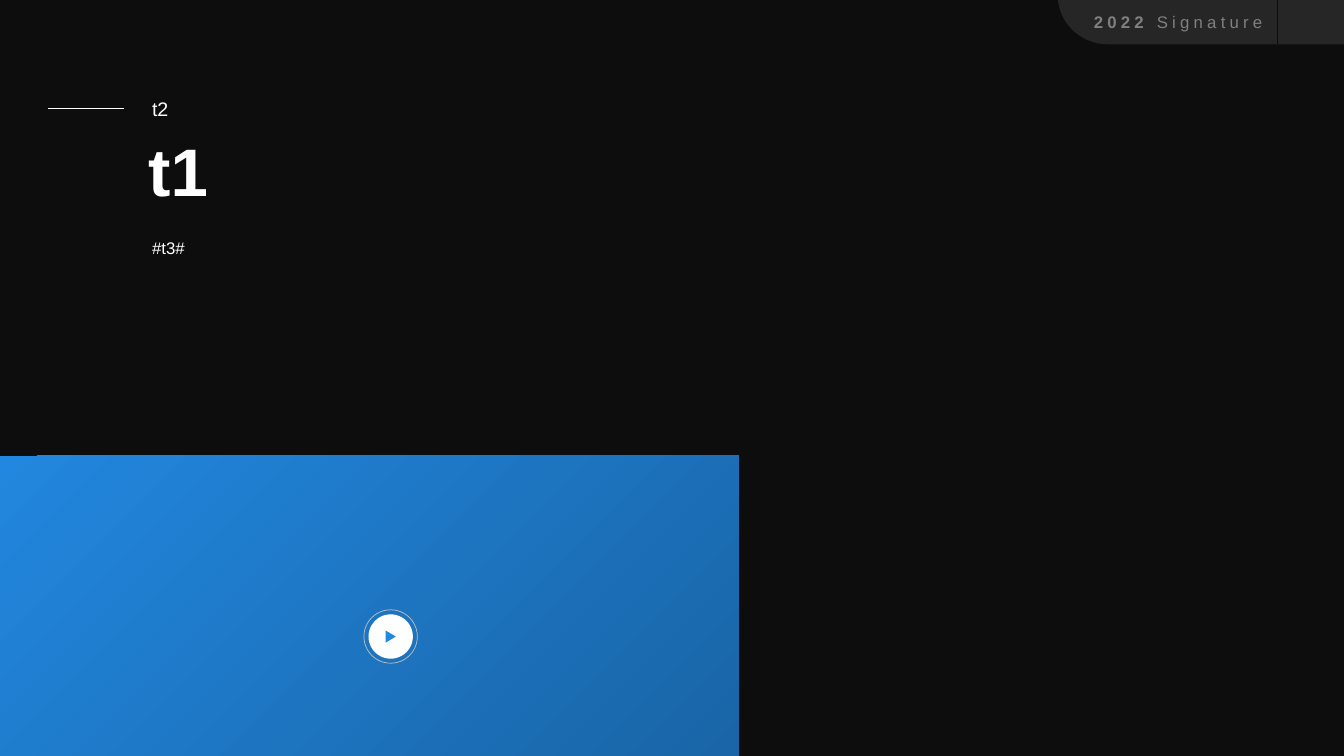
from lxml import etree
from pptx import Presentation
from pptx.dml.color import RGBColor
from pptx.enum import shapes, text
from pptx.oxml.ns import qn
from pptx.util import Inches, Pt

COLORS = {
    "background": "0D0D0D",
    "tab": "262626",
    "tab_text": "808080",
    "white": "FFFFFF",
    "ring": "BFBFBF",
    "blue": "2287DE",
    "deep_blue": "1965A7",
}


def color(name):
    return RGBColor.from_string(COLORS[name])


def add_line(slide, start, end):
    rule = slide.shapes.add_connector(
        shapes.MSO_CONNECTOR.STRAIGHT, *map(Inches, (*start, *end)))
    rule.line.width = Pt(0.75)
    etree.SubElement(rule._element.spPr, qn("a:effectLst"))
    return rule


def add_preset(slide, preset, left, top, width, height, fill=None):
    """Add a shape without shadow or outline."""
    part = slide.shapes.add_shape(
        preset, *map(Inches, (left, top, width, height)))
    part.shadow.inherit = False
    part.line.fill.background()
    if fill:
        part.fill.solid()
        part.fill.fore_color.rgb = color(fill)
    else:
        part.fill.background()
    return part


def write(holder, box, runs, size, fill, anchor=text.MSO_ANCHOR.TOP, spacing=1.0, tracking=0):
    """Place a text holder on its box and fill it with (wording, bold) runs."""
    for side, length in zip(("left", "top", "width", "height"), box):
        setattr(holder, side, Inches(length))
    frame = holder.text_frame
    frame_format = {
        "word_wrap": True,
        "auto_size": text.MSO_AUTO_SIZE.SHAPE_TO_FIT_TEXT,
        "vertical_anchor": anchor,
    }
    for name, value in frame_format.items():
        setattr(frame, name, value)
    line = frame.paragraphs[0]
    line.alignment = text.PP_ALIGN.LEFT
    line.line_spacing = spacing
    for wording, bold in runs:
        run = line.add_run()
        run.text = wording
        for name, value in {"name": "Arial", "size": Pt(size), "bold": bold}.items():
            setattr(run.font, name, value)
        run.font.color.rgb = color(fill)
        if tracking:
            run._r.get_or_add_rPr().set("spc", str(tracking * 100))


def add_text(slide, box, *args, **formats):
    write(slide.shapes.add_textbox(0, 0, 0, 0), box, *args, **formats)


def bezier(points, steps=24):
    """Sample a cubic curve, leaving out its start."""
    for step in range(1, steps + 1):
        t = step / steps
        weights = ((1 - t) ** 3, 3 * t * (1 - t) ** 2, 3 * t * t * (1 - t), t ** 3)
        yield tuple(sum(w * p[axis] for w, p in zip(weights, points)) for axis in (0, 1))


def signature_tab(slide, left, top, width, height):
    right, bottom = left + width, top + height
    corner = [(left + 0.5, bottom), (left + 0.26, bottom),
              (left + 0.05, top + 0.27), (left + 0.01, top + 0.04)]
    edge = [(right, top), (right, bottom), corner[0], *bezier(corner)]
    outline = slide.shapes.build_freeform(Inches(left), Inches(top))
    outline.add_line_segments([(Inches(x), Inches(y)) for x, y in edge], close=True)
    tab = outline.convert_to_shape()
    tab.shadow.inherit = False
    tab.fill.solid()
    tab.fill.fore_color.rgb = color("tab")
    tab.line.fill.background()
    add_text(slide, (left + 0.26, top + 0.07, 2.11, 0.3),
             [("2022", True), (" Signature", False)], 12, "tab_text", tracking=3)
    divider = add_line(slide, (right - 0.66, top), (right - 0.66, bottom))
    divider.line.color.rgb = color("background")


def heading(slide, left, top, width):
    """Place the rule, kicker, title and description from the top down."""
    indent = left + 0.93
    rule = add_line(slide, (left, top + 0.25), (left + 0.75, top + 0.25))
    rule.line.color.rgb = color("white")
    add_text(slide, (indent, top, width, 0.41), [("t2", False)], 14, "white",
             anchor=text.MSO_ANCHOR.BOTTOM, spacing=1.5)
    write(slide.shapes.title, (indent - 0.04, top + 0.4, width, 0.91),
          [("t1", True)], 48, "white")
    add_text(slide, (indent, top + 1.38, width, 0.37), [("#t3#", False)], 12, "white",
             spacing=1.5)


def play_button(slide, left, top, size):
    center_x, center_y = left + size / 2, top + size / 2
    oval, triangle = shapes.MSO_SHAPE.OVAL, shapes.MSO_SHAPE.ISOSCELES_TRIANGLE
    ring = add_preset(slide, oval, left, top, size, size)
    ring.line.width = Pt(0.5)
    ring.line.color.rgb = color("ring")
    disc = size - 0.09
    add_preset(slide, oval, center_x - disc / 2, center_y - disc / 2, disc, disc, "white")
    arrow = add_preset(slide, triangle, center_x - 0.06, center_y - 0.05, 0.12, 0.1, "blue")
    arrow.rotation = 90


def video_panel(slide, left, top, width, height):
    panel = add_preset(slide, shapes.MSO_SHAPE.RECTANGLE, left, top, width, height)
    panel.fill.gradient()
    panel.fill.gradient_angle = 315
    for stop, name in zip(panel.fill.gradient_stops, ("blue", "deep_blue")):
        stop.color.rgb = color(name)
    play_button(slide, left + 3.61, top + 1.53, 0.53)


def main():
    deck = Presentation()
    deck.slide_width, deck.slide_height = Inches(13.33), Inches(7.5)
    slide = deck.slides.add_slide(deck.slide_layouts[5])
    slide.background.fill.solid()
    slide.background.fill.fore_color.rgb = color("background")
    signature_tab(slide, 10.49, 0, 2.84, 0.44)
    video_panel(slide, 0, 4.52, 7.33, 2.98)
    heading(slide, 0.48, 0.83, 11.5)
    deck.save("out.pptx")


if __name__ == "__main__":
    main()
